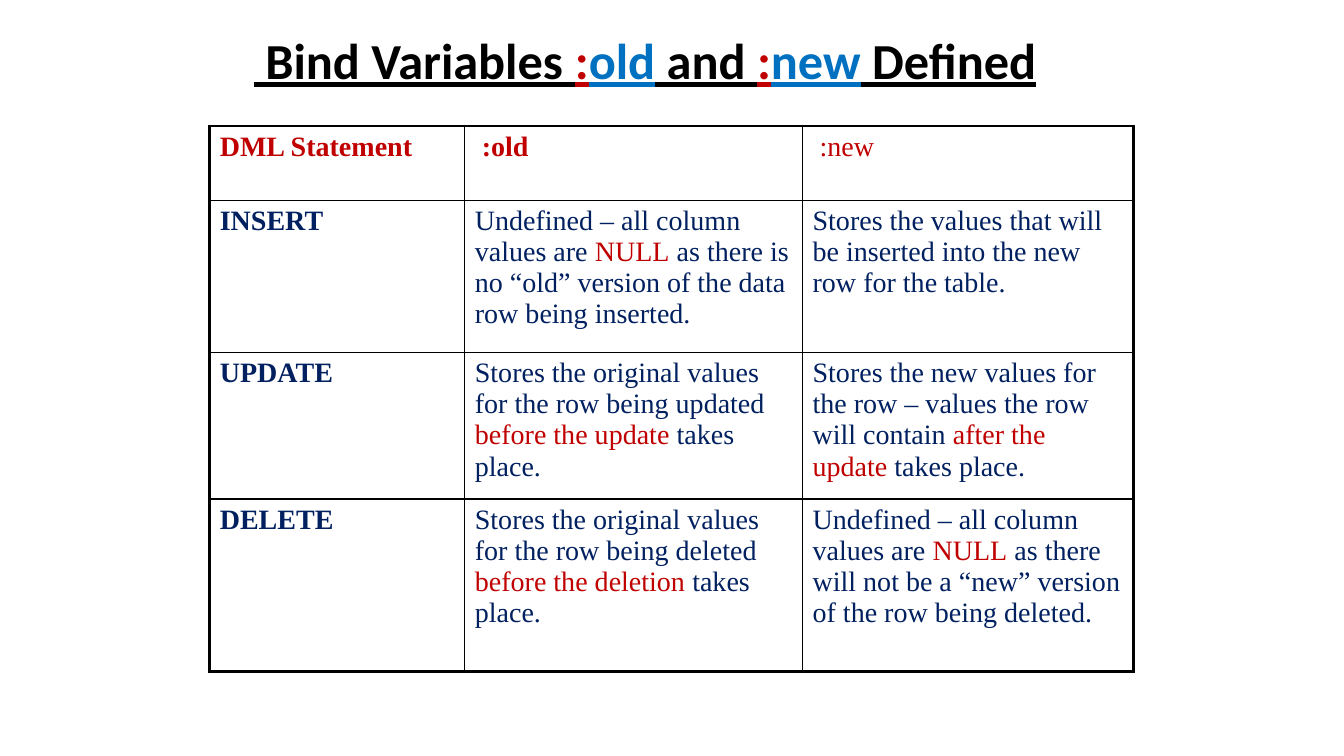
import pptx
import pptx.dml.color
import pptx.enum.text
import pptx.oxml.xmlchemy
import pptx.util

RGB = pptx.dml.color.RGBColor
BLACK = RGB(0x00, 0x00, 0x00)
WHITE = RGB(0xFF, 0xFF, 0xFF)
RED = RGB(0xC0, 0x00, 0x00)
BLUE = RGB(0x00, 0x70, 0xC0)
NAVY = RGB(0x00, 0x20, 0x60)

TITLE = [(" Bind Variables ", BLACK), (":", RED), ("old", BLUE), (" and ", BLACK),
         (":", RED), ("new", BLUE), (" Defined", BLACK)]
COLUMNS = [253, 335, 328]
ROWS = [
    (74, [[("DML Statement", RED)], [(" :old", RED)], [(" :new", RED)]]),
    (151, [[("INSERT", NAVY)],
           [("Undefined – all column values are ", NAVY), ("NULL", RED),
            (" as there is no “old” version of the data row being inserted.", NAVY)],
           [("Stores the values that will be inserted into the new row for the table.", NAVY)]]),
    (145, [[("UPDATE", NAVY)],
           [("Stores the original values for the row being updated ", NAVY),
            ("before the update", RED), (" takes place.", NAVY)],
           [("Stores the new values for the row – values the row will contain ", NAVY),
            ("after the update", RED), (" takes place.", NAVY)]]),
    (171, [[("DELETE", NAVY)],
           [("Stores the original values for the row being deleted ", NAVY),
            ("before the deletion ", RED), ("takes place.", NAVY)],
           [("Undefined – all column values are ", NAVY), ("NULL", RED),
            (" as there will not be a “new” version of the row being deleted.", NAVY)]]),
]


def px(n):
    """Turn px, at 100 to the inch, into EMU."""
    return pptx.util.Emu(n * 9144)


class Deck:
    """Hold the style and the current slide."""

    title_font, title_size = "Calibri", 36
    body_font, body_size = "Times New Roman", 20
    outer, inner = 2.25, 1

    def __init__(self, prs):
        """Add a blank slide to prs."""
        self.s = prs.slides.add_slide(prs.slide_layouts[6])
        self.s.background.fill.solid()
        self.s.background.fill.fore_color.rgb = WHITE

    def add_text(self, p, pieces, font, size, bold, underline=None):
        """Fill paragraph p with coloured pieces of text."""
        for text, color in pieces:
            r = p.add_run()
            r.text = text
            r.font.name, r.font.size = font, pptx.util.Pt(size)
            r.font.bold, r.font.underline = bold, underline
            r.font.color.rgb = color

    def title(self, left, top, width, height, pieces):
        """Add the underlined heading."""
        tf = self.s.shapes.add_textbox(px(left), px(top), px(width), px(height)).text_frame
        tf.word_wrap = True
        tf.vertical_anchor = pptx.enum.text.MSO_ANCHOR.MIDDLE
        tf.paragraphs[0].line_spacing = 0.9
        self.add_text(tf.paragraphs[0], pieces, self.title_font, self.title_size, True, True)

    def border(self, cell, sides):
        """Draw the four cell borders, heavier where a side is on the outer edge."""
        tc_pr = cell._tc.get_or_add_tcPr()
        for i, (side, is_outer) in enumerate(sides.items()):
            ln = pptx.oxml.xmlchemy.OxmlElement(f"a:ln{side}")
            ln.set("w", str(int(pptx.util.Pt(self.outer if is_outer else self.inner))))
            fill = pptx.oxml.xmlchemy.OxmlElement("a:solidFill")
            color = pptx.oxml.xmlchemy.OxmlElement("a:srgbClr")
            color.set("val", str(BLACK))
            fill.append(color)
            ln.append(fill)
            tc_pr.insert(i, ln)

    def table(self, left, top, columns, rows):
        """Add a ruled table without fills."""
        height = sum(h for h, _ in rows)
        table = self.s.shapes.add_table(len(rows), len(columns), px(left), px(top),
                                        px(sum(columns)), px(height)).table
        table.first_row = table.horz_banding = False
        for column, width in zip(table.columns, columns):
            column.width = px(width)
        for i, (height, texts) in enumerate(rows):
            table.rows[i].height = px(height)
            for j, pieces in enumerate(texts):
                cell = table.cell(i, j)
                cell.fill.background()
                bold = j == 0 or (i == 0 and j == 1)
                self.add_text(cell.text_frame.paragraphs[0], pieces,
                              self.body_font, self.body_size, bold)
                self.border(cell, {"L": j == 0, "R": j == len(columns) - 1,
                                   "T": i == 0, "B": i == len(rows) - 1})


def main():
    """Build and save the slide."""
    prs = pptx.Presentation()
    prs.slide_width, prs.slide_height = px(1333), px(750)
    deck = Deck(prs)
    deck.title(242, 25, 850, 75, TITLE)
    deck.table(208, 125, COLUMNS, ROWS)
    prs.save("out.pptx")


if __name__ == "__main__":
    main()
